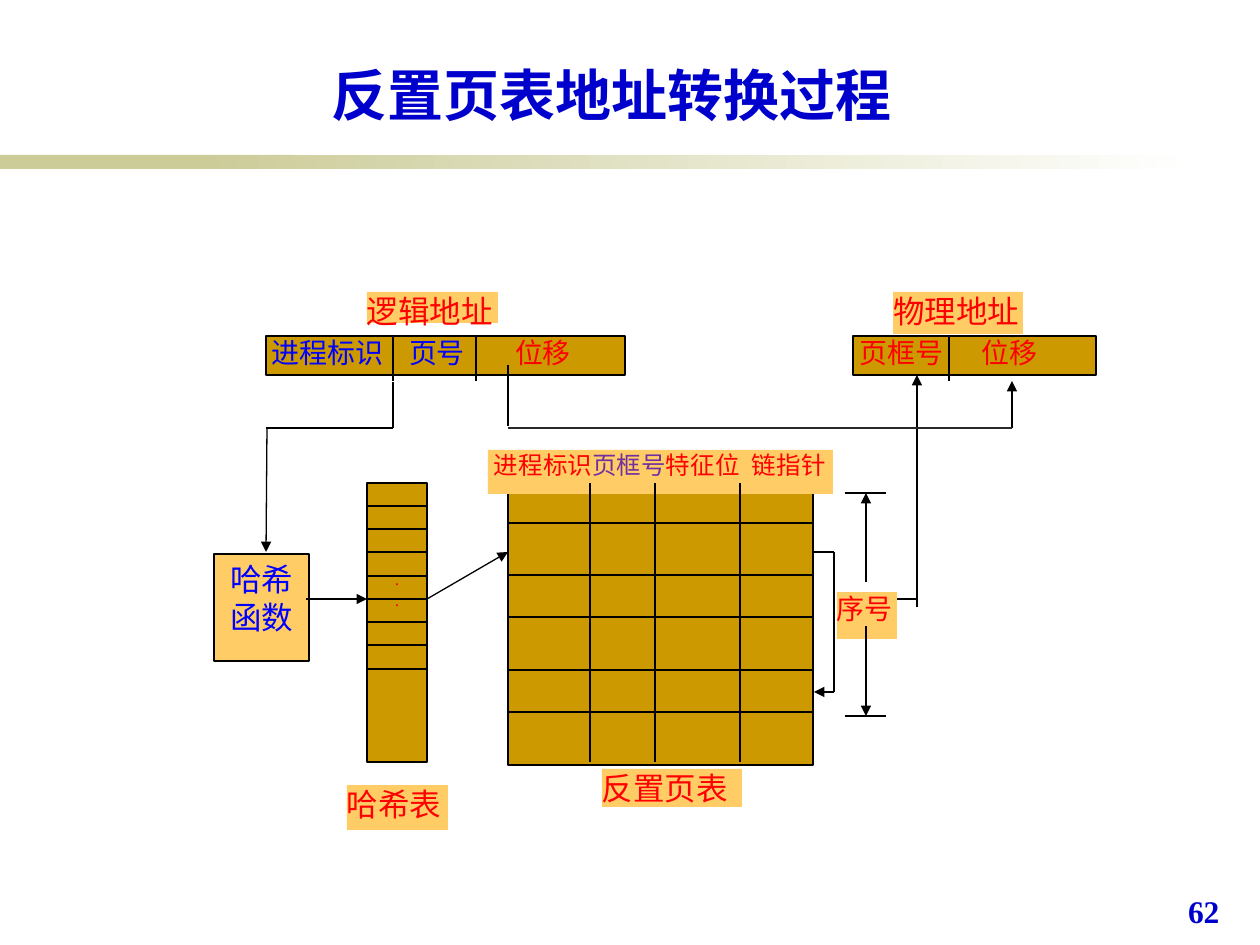
"""Draw how an inverted page table turns logical addresses into physical ones."""
from dataclasses import dataclass
from lxml.etree import SubElement as Sub
from pptx import Presentation as Deck
from pptx.dml.color import RGBColor as RGB
from pptx.enum.shapes import MSO_CONNECTOR as Conn, MSO_SHAPE as Form
from pptx.enum.text import MSO_ANCHOR as Anchor, PP_ALIGN as Align
from pptx.oxml.ns import qn
from pptx.util import Emu, Pt

SCALE = 914400 / 126


@dataclass(frozen=True)
class Theme:
    gold: str = "CC9900"
    sand: str = "FFCC66"
    olive: str = "CCCC99"
    white: str = "FFFFFF"
    red: str = "FF0000"
    blue: str = "0000FF"
    navy: str = "0000CC"
    plum: str = "7030A0"
    ink: str = "000000"
    gray: str = "292929"
    cjk: str = "Noto Sans CJK JP"
    serif: str = "Times New Roman"
    title: int = 32
    label: int = 18
    cell: int = 16
    head: int = 14
    dot: int = 10
    thin: float = 0.75
    thick: float = 1.5


T = Theme()


def px(num):
    return Emu(round(num * SCALE))


def color(code):
    return RGB.from_string(code)


def style(font, size, code, name=T.cjk, bold=False):
    look = {"size": Pt(size), "name": name, "bold": bold}
    for key, val in look.items():
        setattr(font, key, val)
    font.color.rgb = color(code)


def write(shape, paras, size, align=Align.JUSTIFY, pad=(0, 0, 0, 0),
          anchor=Anchor.TOP, tabs=(), name=T.cjk, bold=False, gap=None):
    """Fill a shape with paragraphs, each a list of (text, colour) runs."""
    frame = shape.text_frame
    sides = ("margin_left", "margin_top", "margin_right", "margin_bottom")
    look = dict(zip(sides, map(px, pad)), word_wrap=True, vertical_anchor=anchor)
    for key, val in look.items():
        setattr(frame, key, val)
    for num, parts in enumerate(paras):
        para = frame.add_paragraph() if num else frame.paragraphs[0]
        para.alignment = align
        if gap:
            para.line_spacing = gap
        if tabs:
            stops = Sub(para._p.get_or_add_pPr(), qn("a:tabLst"))
            for stop in tabs:
                Sub(stops, qn("a:tab"), pos=str(px(stop)), algn="l")
        for text, code in parts:
            run = para.add_run()
            run.text = text
            style(run.font, size, code, name, bold)
            Sub(run._r.get_or_add_rPr(), qn("a:ea"), typeface=name)


def box(slide, area, fill, edge=0):
    shape = slide.shapes.add_shape(Form.RECTANGLE, *map(px, area))
    shape.shadow.inherit = False
    shape.fill.solid()
    shape.fill.fore_color.rgb = color(fill)
    if edge:
        shape.line.color.rgb = color(T.ink)
        shape.line.width = Pt(edge)
    else:
        shape.line.fill.background()
    return shape


def line(slide, ends, width=T.thin, arrow=False, code=T.ink):
    link = slide.shapes.add_connector(Conn.STRAIGHT, *map(px, ends))
    link.line.color.rgb = color(code)
    link.line.width = Pt(width)
    if arrow:
        Sub(link.line._get_or_add_ln(), qn("a:tailEnd"), type="triangle")
    Sub(link._element.spPr, qn("a:effectLst"))


def label(slide, area, text, size=T.label):
    write(box(slide, area, T.sand), [[(text, T.red)]], size)


def band(slide):
    box(slide, (0, 155, 294, 14), T.olive)
    fade = box(slide, (199, 155, 998, 14), T.olive).fill
    fade.gradient()
    fade.gradient_angle = 0
    for stop, pos, code in zip(fade.gradient_stops, (0, 1), (T.olive, T.white)):
        stop.position = pos
        stop.color.rgb = color(code)


def heading(slide):
    title = slide.shapes.title
    for key, val in zip(("left", "top", "width", "height"), (105, 55, 1014, 79)):
        setattr(title, key, px(val))
    write(title, [[("反置页表地址转换过程", T.navy)]], T.title, Align.CENTER,
          (13, 6, 13, 6), Anchor.BOTTOM, bold=True)


def address(slide):
    real = box(slide, (853, 336, 243, 39), T.gold, T.thick)
    write(real, [[("页框号\t位移", T.red)]], T.cell, pad=(7, 0, 0, 0), tabs=(122,))
    logic = box(slide, (266, 336, 359, 39), T.gold, T.thick)
    write(logic, [[("进程标识\t页号\t", T.blue), ("位移", T.red)]], T.cell,
          pad=(6, 0, 0, 0), tabs=(137, 243))
    for x in (393, 476, 949):
        line(slide, (x, 336, x, 381), T.thick)
    label(slide, (893, 292, 130, 42), "物理地址")
    label(slide, (367, 292, 131, 31), "逻辑地址")


def pages(slide):
    box(slide, (508, 488, 305, 277), T.gold, T.thick)
    head = box(slide, (488, 450, 345, 44), T.sand)
    write(head, [[("进程标识", T.red), ("页框号", T.plum), ("特征位\t链指针", T.red)]],
          T.head, pad=(6, 0, 0, 0), tabs=(258,))
    for x in (590, 655, 740):
        line(slide, (x, 483, x, 762))
    for y in (523, 575, 617, 670, 712):
        line(slide, (508, y, 813, y))
    label(slide, (602, 769, 140, 38), "反置页表")


def hashing(slide):
    table = box(slide, (367, 483, 60, 279), T.gold, T.thin)
    write(table, [[("·", T.red)]] * 2, T.dot, Align.CENTER, (13, 90, 13, 6),
          name=T.serif)
    for row in range(1, 9):
        y = 483 + row * 93 // 4
        line(slide, (367, y, 427, y))
    func = box(slide, (214, 554, 95, 107), T.sand, T.thin)
    write(func, [[("哈希", T.blue)], [("函数", T.blue)]], T.label, Align.CENTER,
          (13, 6, 13, 6))
    label(slide, (347, 785, 101, 45), "哈希表")


def index(slide):
    label(slide, (837, 592, 60, 47), "序号", T.cell)
    for y, start in ((493, 582), (716, 626)):
        line(slide, (845, y, 886, y), T.thick)
        line(slide, (866, start, 866, y), arrow=True)


def flow(slide):
    plain = ((393, 382, 393, 428), (266, 428, 393, 428), (508, 365, 508, 426),
             (813, 552, 834, 552), (834, 552, 834, 692), (897, 599, 917, 599))
    heads = ((267, 428, 266, 552), (306, 599, 367, 599), (427, 599, 508, 552),
             (834, 692, 814, 692), (917, 607, 917, 375), (1012, 428, 1012, 381))
    for arrow, group in ((False, plain), (True, heads)):
        for ends in group:
            line(slide, ends, arrow=arrow)
    line(slide, (508, 428, 1012, 428), code=T.gray)


def number(slide):
    note = slide.shapes.add_textbox(*map(px, (1175, 886, 81, 63)))
    write(note, [[("62", T.navy)]], T.label, Align.LEFT, (13, 6, 13, 6),
          name=T.serif, bold=True)


def main():
    deck = Deck()
    deck.slide_width, deck.slide_height = px(1260), px(945)
    slide = deck.slides.add_slide(deck.slide_layouts[5])
    for draw in (band, heading, address, pages, hashing, index, flow, number):
        draw(slide)
    deck.save("out.pptx")


if __name__ == "__main__":
    main()
